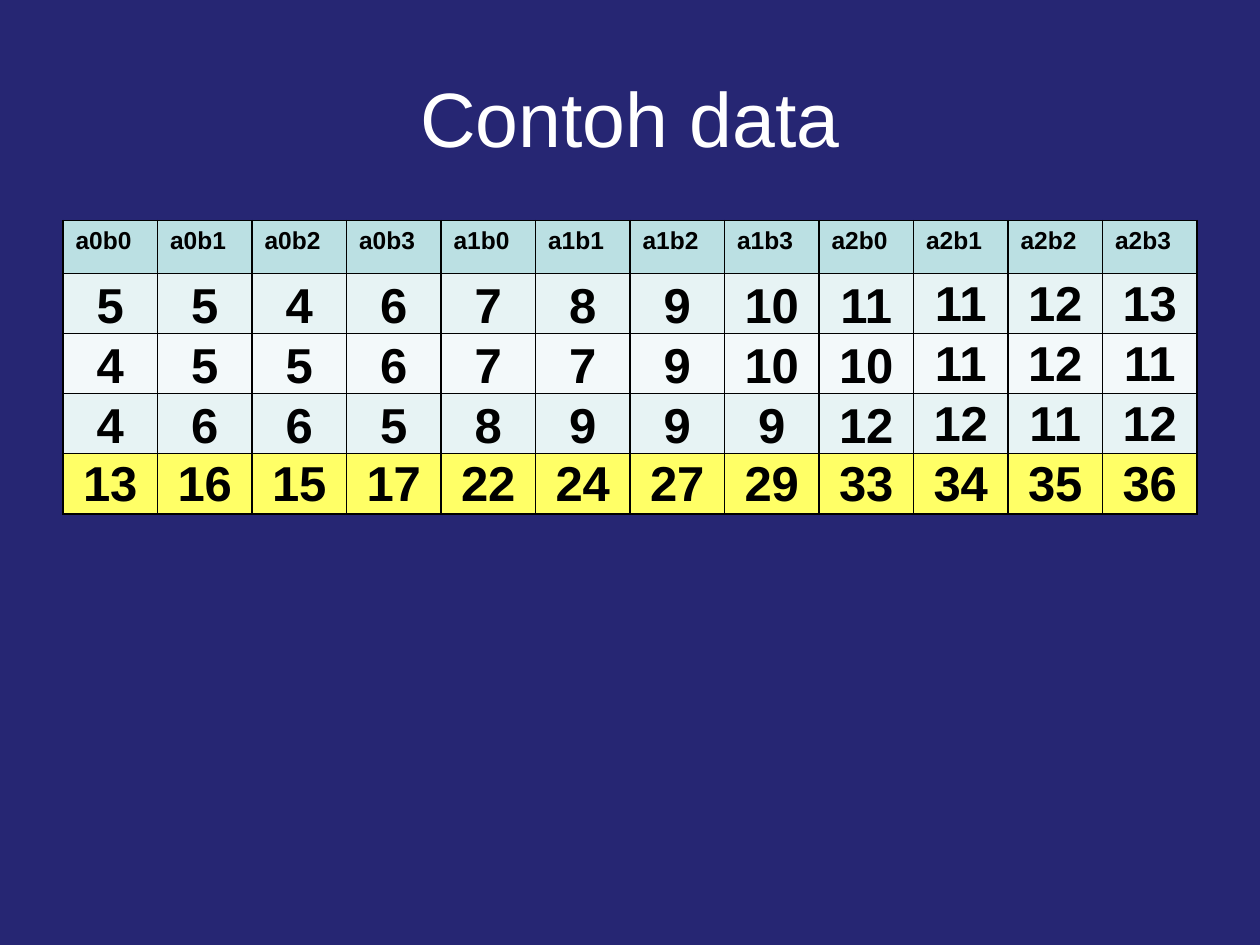
from lxml.etree import SubElement
from pptx import Presentation
from pptx.dml.color import RGBColor as RGB
from pptx.enum.text import MSO_ANCHOR as Anchor, PP_ALIGN as Align
from pptx.oxml.ns import qn
from pptx.util import Inches, Pt

COLORS = {
    "back": "262673", "title": "FFFFFF", "ink": "000000",
    "head": "BBE0E3", "odd": "E7F3F4", "even": "F3F9FA", "total": "FFFF66",
}


def style(para, size, color, bold, align):
    """Set the font and alignment of a paragraph."""
    para.alignment = align
    font = para.font
    font.name, font.size, font.bold = "Arial", Pt(size), bold
    font.color.rgb = RGB.from_string(COLORS[color])


def frame(cell):
    """Draw a thin solid line on all four sides of a cell."""
    props = cell._tc.get_or_add_tcPr()
    for side in ("a:lnL", "a:lnR", "a:lnT", "a:lnB"):
        line = SubElement(props, qn(side), w=str(Pt(1)))
        fill = SubElement(line, qn("a:solidFill"))
        SubElement(fill, qn("a:srgbClr"), val=COLORS["ink"])


prs = Presentation()
prs.slide_width, prs.slide_height = Inches(10), Inches(7.5)
slide = prs.slides.add_slide(prs.slide_layouts[6])
back = slide.background.fill
back.solid()
back.fore_color.rgb = RGB.from_string(COLORS["back"])

title = slide.shapes.add_textbox(Inches(0.5), Inches(0.3), Inches(9), Inches(1.25))
text = title.text_frame
text.word_wrap = True
text.vertical_anchor = Anchor.MIDDLE
text.text = "Contoh data"
style(text.paragraphs[0], 44, "title", False, Align.CENTER)

heads = [f"a{a}b{b}" for a in range(3) for b in range(4)]
data = [
    [5, 5, 4, 6, 7, 8, 9, 10, 11, 11, 12, 13],
    [4, 5, 5, 6, 7, 7, 9, 10, 10, 11, 12, 11],
    [4, 6, 6, 5, 8, 9, 9, 9, 12, 12, 11, 12],
]
totals = [sum(col) for col in zip(*data)]
rows = [heads, *data, totals]
fills = ["head", "odd", "even", "odd", "total"]

table = slide.shapes.add_table(
    len(rows), len(heads), Inches(0.5), Inches(1.75), Inches(9), Inches(2.1)
).table
table.first_row = table.horz_banding = False
for col in table.columns:
    col.width = Inches(0.75)

for r, (row, shade) in enumerate(zip(rows, fills)):
    table.rows[r].height = Inches(0.42)
    for c, value in enumerate(row):
        cell = table.cell(r, c)
        cell.text = str(value)
        frame(cell)
        cell.fill.solid()
        cell.fill.fore_color.rgb = RGB.from_string(COLORS[shade])
        para = cell.text_frame.paragraphs[0]
        if shade == "head":
            style(para, 14, "ink", True, Align.LEFT)
            continue
        style(para, 28, "ink", True, Align.CENTER)
        cell.margin_left = cell.margin_right = cell.margin_top = Inches(0.01)
        cell.margin_bottom = 0
        low = shade != "total" and c < 9
        cell.vertical_anchor = Anchor.BOTTOM if low else Anchor.MIDDLE

prs.save("out.pptx")
